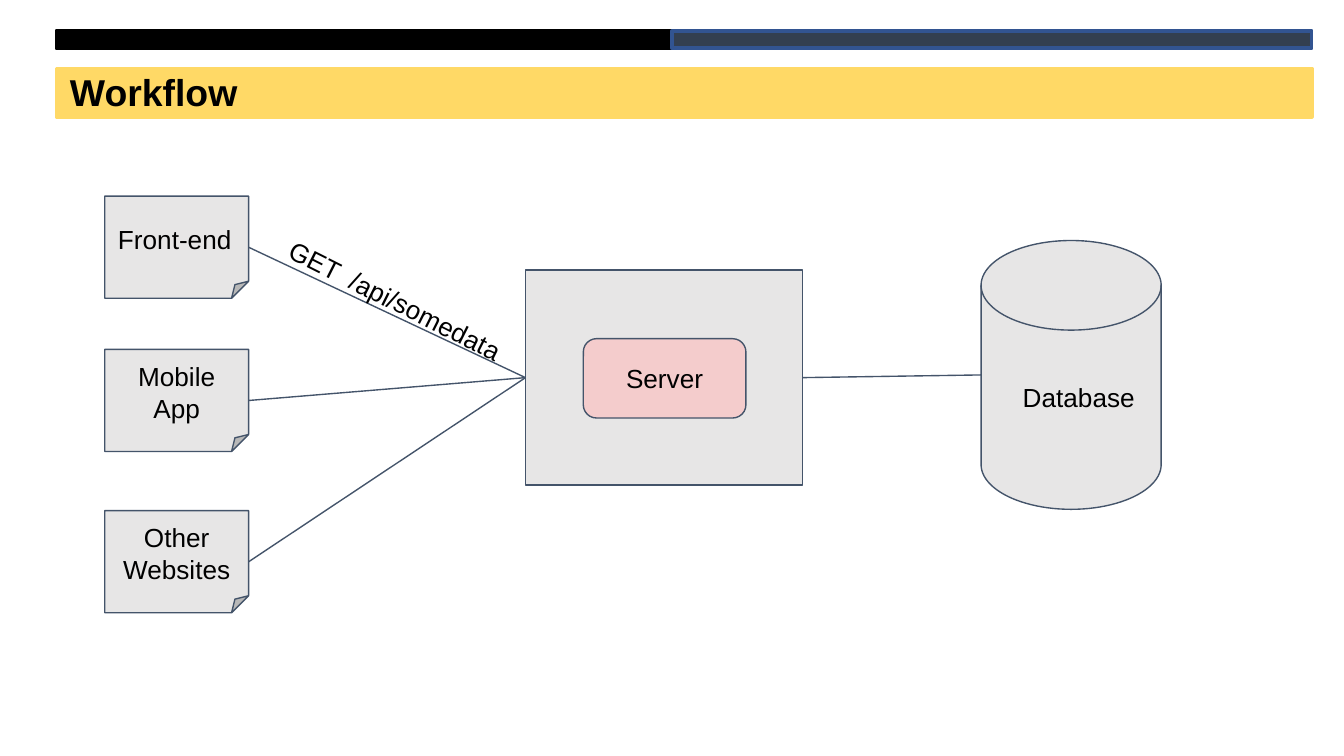
from dataclasses import dataclass

import pptx
import pptx.dml.color
import pptx.enum.shapes
import pptx.enum.text
import pptx.oxml
import pptx.util
from pptx.util import Inches

SHAPE = pptx.enum.shapes.MSO_SHAPE
ALIGN = pptx.enum.text.PP_ALIGN
ANCHOR = pptx.enum.text.MSO_ANCHOR
LEFT, RIGHT = 1, 3  # connection sites of a rectangle
FONT = "Arial"
COLORS = {
    "black": "000000",
    "yellow": "FFD966",
    "slate": "333F50",
    "blue": "325491",
    "gray": "E7E6E6",
    "pink": "F4CCCC",
    "outline": "44546A",
}


@dataclass
class Box:
    left: float
    top: float
    width: float
    height: float
    fill: str
    kind: int = SHAPE.RECTANGLE
    text: str = ""
    align: int = ALIGN.CENTER
    line: str = "outline"
    line_width: float = 0.75
    inset: float = 0.1


def rgb(name: str) -> pptx.dml.color.RGBColor:
    return pptx.dml.color.RGBColor.from_string(COLORS[name])


def write(tf, text: str, size: int, align: int, bold: bool = False) -> None:
    tf.word_wrap = True
    p = tf.paragraphs[0]
    p.alignment = align
    r = p.add_run()
    r.text = text
    r.font.name = FONT
    r.font.size = pptx.util.Pt(size)
    r.font.bold = bold
    r.font.color.rgb = rgb("black")


def set_insets(tf, left: float, top: float, right: float, bottom: float) -> None:
    tf.margin_left, tf.margin_top = Inches(left), Inches(top)
    tf.margin_right, tf.margin_bottom = Inches(right), Inches(bottom)


def add_box(s, box: Box):
    sp = s.shapes.add_shape(box.kind, Inches(box.left), Inches(box.top),
                            Inches(box.width), Inches(box.height))
    sp.shadow.inherit = False
    sp.fill.solid()
    sp.fill.fore_color.rgb = rgb(box.fill)
    sp.line.color.rgb = rgb(box.line)
    sp.line.width = pptx.util.Pt(box.line_width)
    if box.text:
        tf = sp.text_frame
        set_insets(tf, box.inset, 0.1, 0.1, 0.1)
        tf.vertical_anchor = ANCHOR.MIDDLE
        write(tf, box.text, 14, box.align)
    return sp


def add_link(s, source, target, glue_target: bool = True) -> None:
    """Join the right side of source to the left side of target."""
    link = s.shapes.add_connector(
        pptx.enum.shapes.MSO_CONNECTOR.STRAIGHT,
        source.left + source.width, source.top + source.height // 2,
        target.left, target.top + target.height // 2)
    link.begin_connect(source, RIGHT)
    if glue_target:
        link.end_connect(target, LEFT)
    link.line.color.rgb = rgb("outline")
    link.line.width = pptx.util.Pt(0.75)
    link._element.spPr.append(pptx.oxml.parse_xml(
        '<a:effectLst xmlns:a="http://schemas.openxmlformats.org/drawingml/2006/main"/>'))


def add_title(s, text: str) -> None:
    title = s.shapes.title
    title.left, title.top = Inches(0.42), Inches(0.46)
    title.width, title.height = Inches(5.13), Inches(0.44)
    tf = title.text_frame
    set_insets(tf, 0.1, 0.05, 0.1, 0.05)
    tf.vertical_anchor = ANCHOR.MIDDLE
    write(tf, text, 20, ALIGN.LEFT, bold=True)
    # Bring the title in front of the header bars
    title.element.getparent().append(title.element)


def add_request_label(s, text: str) -> None:
    label = s.shapes.add_textbox(Inches(1.98), Inches(2.16), Inches(2.53), Inches(0.28))
    label.rotation = 26.7
    set_insets(label.text_frame, 0.1, 0.1, 0.1, 0.1)
    write(label.text_frame, text, 14, ALIGN.LEFT)


HEADER_BARS = [
    Box(0.42, 0.51, 9.34, 0.36, "yellow", line="yellow", line_width=2),
    Box(0.42, 0.23, 6.25, 0.13, "black", line="black", line_width=2),
    Box(5, 0.23, 4.76, 0.13, "slate", line="blue", line_width=2),
]
CLIENTS = [
    Box(0.78, top, 1.07, 0.76, "gray", SHAPE.FOLDED_CORNER, text, align)
    for top, text, align in [
        (1.46, "Front-end", ALIGN.LEFT),
        (2.6, "Mobile App", ALIGN.CENTER),
        (3.8, "Other Websites", ALIGN.CENTER),
    ]
]
HOST = Box(3.91, 2.01, 2.06, 1.6, "gray")
SERVER = Box(4.34, 2.52, 1.21, 0.59, "pink", SHAPE.ROUNDED_RECTANGLE, "Server")
DATABASE = Box(7.3, 1.79, 1.34, 2, "gray", SHAPE.FLOWCHART_MAGNETIC_DISK,
               "Database", ALIGN.LEFT, inset=0.31)


def main() -> None:
    prs = pptx.Presentation()
    prs.slide_width = Inches(10)
    prs.slide_height = prs.slide_width * 9 // 16
    s = prs.slides.add_slide(prs.slide_layouts[5])

    for bar in HEADER_BARS:
        add_box(s, bar)
    add_title(s, "Workflow")

    host = add_box(s, HOST)
    add_box(s, SERVER)
    database = add_box(s, DATABASE)
    for client in CLIENTS:
        add_link(s, add_box(s, client), host)
    # A disk numbers its connection sites differently from a rectangle
    add_link(s, host, database, glue_target=False)
    add_request_label(s, "GET  /api/somedata")

    prs.save("out.pptx")


if __name__ == "__main__":
    main()
